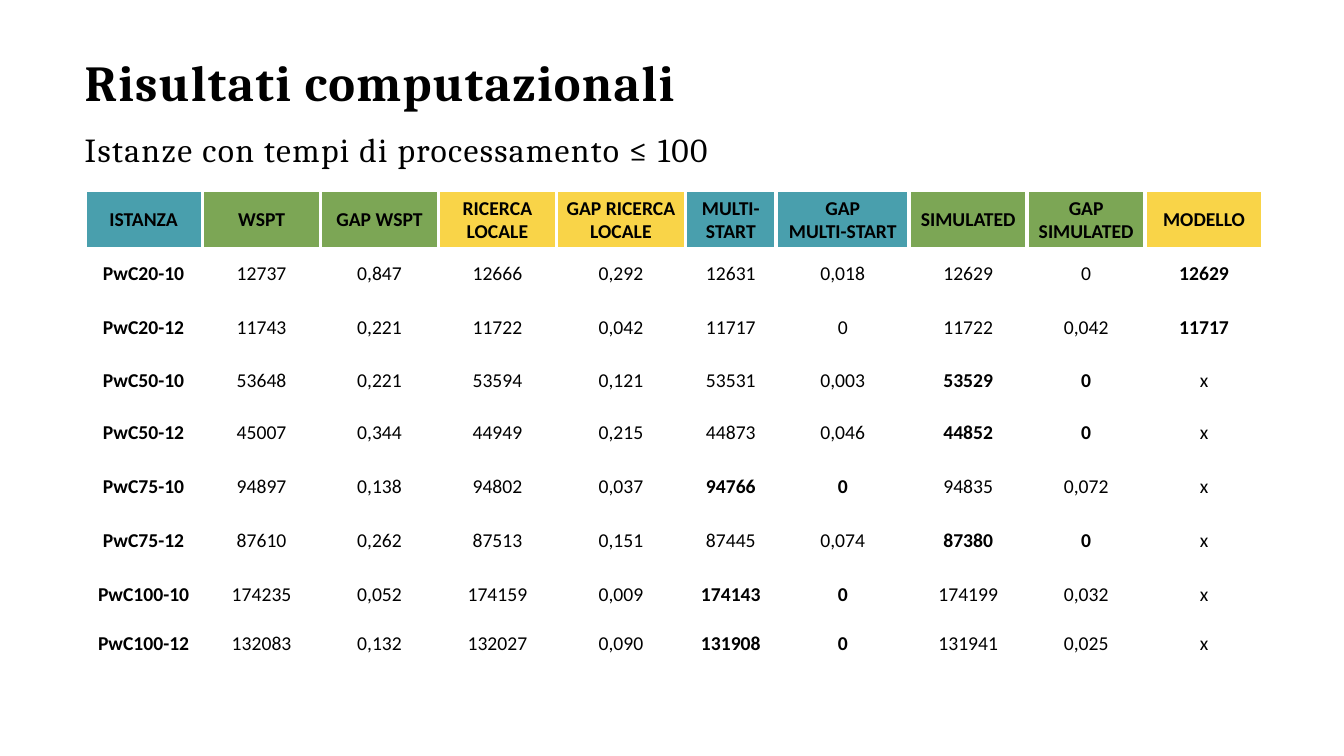
from dataclasses import dataclass

from lxml.etree import SubElement
from pptx import Presentation
from pptx.dml.color import RGBColor
from pptx.enum.text import MSO_ANCHOR, PP_ALIGN
from pptx.oxml.ns import qn
from pptx.slide import Slide
from pptx.table import _Cell as Cell
from pptx.text.text import Font
from pptx.util import Emu, Pt

EMU_PER_PX = 9144
LEFT = 84
BLACK, WHITE = "000000", "FFFFFF"
TEAL, GREEN, YELLOW = "499FAD", "7CA655", "F9D448"


@dataclass(frozen=True)
class Heading:
    text: str
    top: int
    width: int
    height: int
    size: int
    bold: bool


@dataclass(frozen=True)
class Column:
    title: str
    fill: str
    width: int = 117


HEADINGS = [
    Heading("Risultati computazionali", 45, 1001, 67, 36, True),
    Heading("Istanze con tempi di processamento ≤ 100", 121, 770, 47, 24, False),
]
COLUMNS = [
    Column("ISTANZA", TEAL),
    Column("WSPT", GREEN),
    Column("GAP WSPT", GREEN),
    Column("RICERCA\nLOCALE", YELLOW),
    Column("GAP RICERCA LOCALE", YELLOW, 128),
    Column("MULTI-START", TEAL, 90),
    Column("GAP\nMULTI-START", TEAL, 132),
    Column("SIMULATED", GREEN),
    Column("GAP\nSIMULATED", GREEN),
    Column("MODELLO", YELLOW),
]
RESULTS = [
    "PwC20-10 12737 0,847 12666 0,292 12631 0,018 12629 0 12629",
    "PwC20-12 11743 0,221 11722 0,042 11717 0 11722 0,042 11717",
    "PwC50-10 53648 0,221 53594 0,121 53531 0,003 53529 0 x",
    "PwC50-12 45007 0,344 44949 0,215 44873 0,046 44852 0 x",
    "PwC75-10 94897 0,138 94802 0,037 94766 0 94835 0,072 x",
    "PwC75-12 87610 0,262 87513 0,151 87445 0,074 87380 0 x",
    "PwC100-10 174235 0,052 174159 0,009 174143 0 174199 0,032 x",
    "PwC100-12 132083 0,132 132027 0,090 131908 0 131941 0,025 x",
]
ROW_HEIGHTS = [58, 49, 57, 48, 55, 53, 55, 52, 45]
RULE_WEIGHTS = [3, 3, 1.5, 1.5, 0.5, 0.5, 0.5, 0.5, 0.5, 1.5]


def px(length: int) -> Emu:
    return Emu(length * EMU_PER_PX)


def color(value: str) -> RGBColor:
    return RGBColor.from_string(value)


def set_font(font: Font, **formats) -> None:
    for name, value in formats.items():
        setattr(font, name, value)
    font.color.rgb = color(BLACK)


def add_heading(page: Slide, heading: Heading) -> None:
    box = page.shapes.add_textbox(
        px(LEFT), px(heading.top), px(heading.width), px(heading.height))
    formats = {"word_wrap": True, "vertical_anchor": MSO_ANCHOR.BOTTOM,
               "margin_left": 0, "margin_top": 0,
               "margin_right": 0, "margin_bottom": 0}
    for name, value in formats.items():
        setattr(box.text_frame, name, value)
    para = box.text_frame.paragraphs[0]
    para.line_spacing = 0.9
    span = para.add_run()
    span.text = heading.text
    set_font(span.font, name="Cambria", size=Pt(heading.size), bold=heading.bold)
    span._r.get_or_add_rPr().set("spc", "100")


def set_borders(cell: Cell, sides: float, top: float, bottom: float) -> None:
    properties = cell._tc.get_or_add_tcPr()
    weights = {"a:lnL": sides, "a:lnR": sides, "a:lnT": top, "a:lnB": bottom}
    for tag, weight in weights.items():
        line = SubElement(properties, qn(tag), w=str(Pt(weight)))
        fill = SubElement(line, qn("a:solidFill"))
        SubElement(fill, qn("a:srgbClr"), val=WHITE)


def bold_columns(values: list[str]) -> set[int]:
    """Instance name, plus the model's optimum or else the best heuristic."""
    last = len(values) - 1
    if values[last] != "x":
        return {0, last}
    best_gap = values.index("0")
    return {0, best_gap - 1, best_gap}


def fill_cell(cell: Cell, text: str, bold: bool) -> None:
    formats = {"vertical_anchor": MSO_ANCHOR.MIDDLE, "margin_left": px(1),
               "margin_top": px(1), "margin_right": px(1), "margin_bottom": 0}
    for name, value in formats.items():
        setattr(cell, name, value)
    cell.text_frame.text = text
    for para in cell.text_frame.paragraphs:
        para.alignment = PP_ALIGN.CENTER
        for span in para.runs:
            set_font(span.font, name="Calibri", size=Pt(14), bold=bold)


def add_results_table(page: Slide) -> None:
    titles = [column.title for column in COLUMNS]
    rows = [titles] + [result.split() for result in RESULTS]
    width = sum(column.width for column in COLUMNS)
    table = page.shapes.add_table(
        len(rows), len(COLUMNS), px(LEFT), px(189),
        px(width), px(sum(ROW_HEIGHTS))).table
    table.first_row = table.horz_banding = False
    for index, column in enumerate(COLUMNS):
        table.columns[index].width = px(column.width)
    for row, values in enumerate(rows):
        table.rows[row].height = px(ROW_HEIGHTS[row])
        is_header = row == 0
        bold = set(range(len(COLUMNS))) if is_header else bold_columns(values)
        for index, text in enumerate(values):
            cell = table.cell(row, index)
            fill_cell(cell, text, index in bold)
            set_borders(cell, 3 if is_header else 1.5,
                        RULE_WEIGHTS[row], RULE_WEIGHTS[row + 1])
            if is_header:
                cell.fill.solid()
                cell.fill.fore_color.rgb = color(COLUMNS[index].fill)
            else:
                cell.fill.background()


def main() -> None:
    deck = Presentation()
    deck.slide_width, deck.slide_height = px(1333), px(750)
    page = deck.slides.add_slide(deck.slide_layouts[6])
    for heading in HEADINGS:
        add_heading(page, heading)
    add_results_table(page)
    deck.save("out.pptx")


if __name__ == "__main__":
    main()
